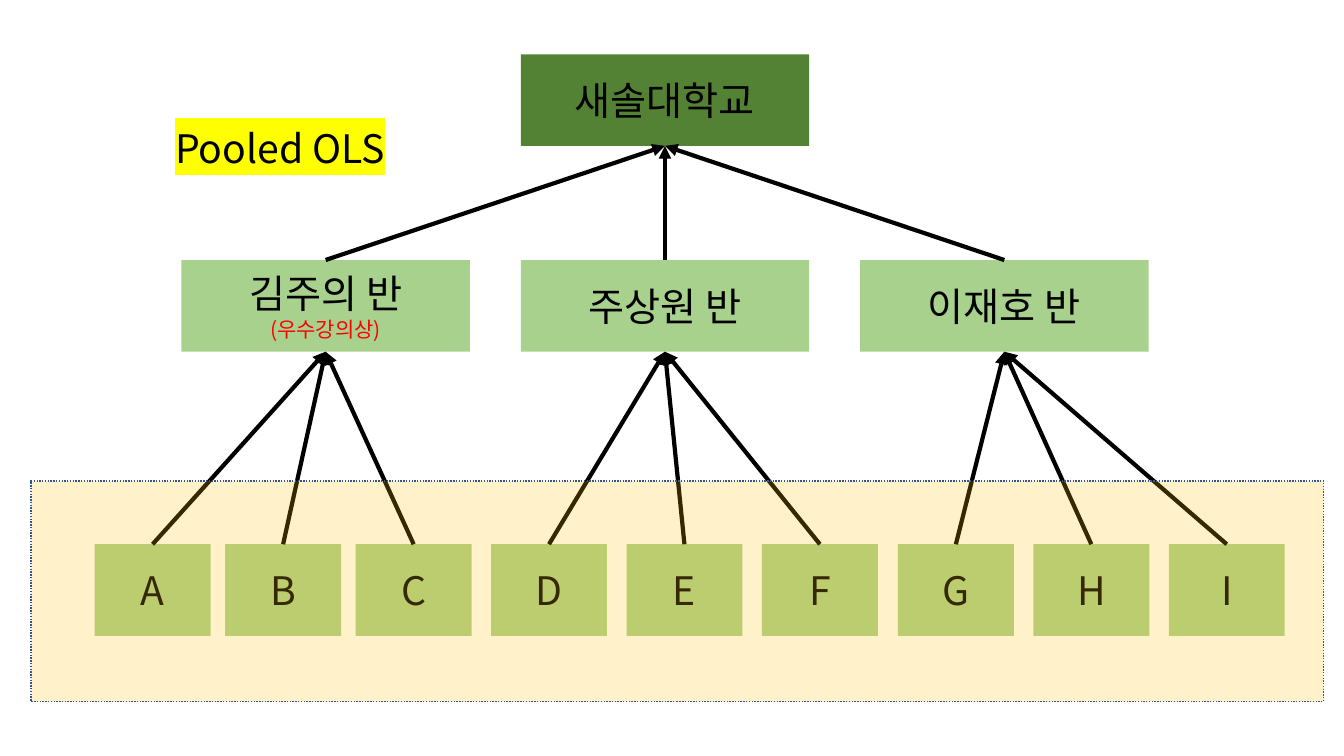
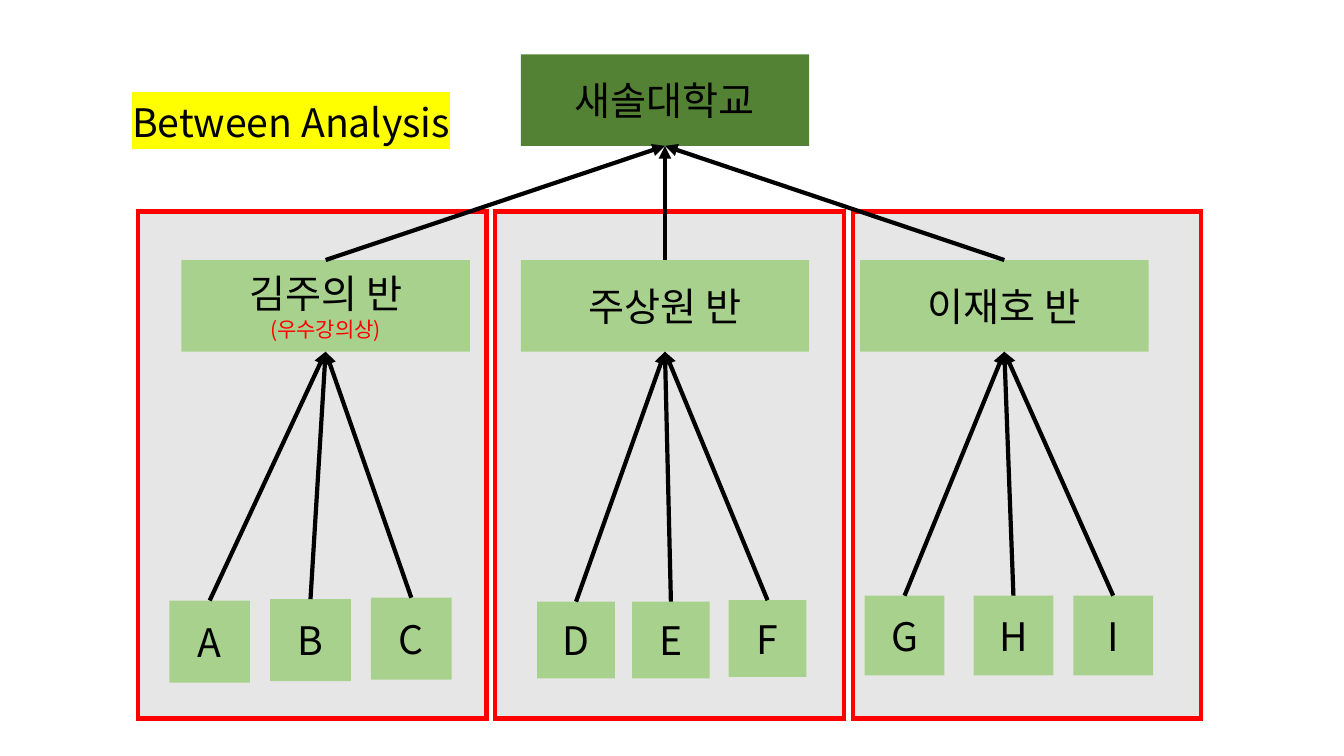
from dataclasses import dataclass

from lxml import etree
from pptx import Presentation
from pptx.dml.color import RGBColor
from pptx.enum import dml, shapes, text
from pptx.oxml.ns import qn
from pptx.util import Pt

FONT = "Noto Sans CJK KR"
COLORS = {
    "ink": "000000",
    "school": "548235",
    "node": "A9D18E",
    "award": "FF0000",
    "highlight": "FFFF00",
    "pool": "FFC000",
    "pool_edge": "325491",
    "panel": "D0CECE",
    "panel_edge": "FF0000",
}
TEXT_SIZE, NOTE_SIZE = 28, 15
NODE_W, NODE_H = 206, 65.5
CLASS_PITCH = 242.4
CLASS_DROP = 147
TREE_LEFT, TREE_TOP = 129.6, 38.75
SCHOOL = "새솔대학교"
CLASSES = [("김주의 반", "(우수강의상)"), ("주상원 반", None), ("이재호 반", None)]
STUDENTS = ["ABC", "DEF", "GHI"]


@dataclass
class Leaves:
    """Size of the student boxes of a class, and their offsets from its box."""
    width: float
    height: float
    spots: list


def even_leaves(start, step):
    return Leaves(82.8, NODE_H, [(start + i * step, 203) for i in range(3)])


POOLED_LEAVES = [even_leaves(-62, 93.25), even_leaves(-21.25, 96.75),
                 even_leaves(27, 96.75)]
BETWEEN_LEAVES = [
    Leaves(57.6, 58.6, [(-8.6, 243.2), (63.4, 242.2), (135.4, 241.2)]),
    Leaves(55.5, 54.75, [(11.75, 244), (79.5, 244), (148.5, 243)]),
    Leaves(57, 57, [(3.25, 239.75), (81, 239.75), (152.25, 239.75)]),
]


def color(name):
    return RGBColor.from_string(COLORS[name])


def style_paragraph(para, align):
    para.alignment = align
    para.font.size = Pt(TEXT_SIZE)
    para.font.name = FONT
    para.font.color.rgb = color("ink")
    defaults = para._p.pPr.find(qn("a:defRPr"))
    etree.SubElement(defaults, qn("a:ea")).set("typeface", FONT)


def add_box(page, left, top, width, height, fill, opacity=None):
    box = page.shapes.add_shape(shapes.MSO_SHAPE.RECTANGLE,
                                Pt(left), Pt(top), Pt(width), Pt(height))
    box.shadow.inherit = False
    box.fill.solid()
    box.fill.fore_color.rgb = color(fill)
    box.line.fill.background()
    if opacity is not None:
        tone = box._element.spPr.find(qn("a:solidFill")).find(qn("a:srgbClr"))
        etree.SubElement(tone, qn("a:alpha")).set("val", str(opacity * 1000))
    return box


def outline(box, edge, width, dash=dml.MSO_LINE.SOLID):
    """Give a box a line with square corners."""
    box.line.color.rgb = color(edge)
    box.line.width = Pt(width)
    box.line.dash_style = dash
    line = box._element.spPr.find(qn("a:ln"))
    etree.SubElement(line, qn("a:miter")).set("lim", "800000")


def add_node(page, left, top, width, height, label, fill="node", note=None):
    box = add_box(page, left, top, width, height, fill)
    box.text_frame.vertical_anchor = text.MSO_ANCHOR.MIDDLE
    para = box.text_frame.paragraphs[0]
    style_paragraph(para, text.PP_ALIGN.CENTER)
    para.add_run().text = label
    if note:
        para.add_line_break()
        span = para.add_run()
        span.text = note
        span.font.size = Pt(NOTE_SIZE)
        span.font.color.rgb = color("award")
    return box


def link(page, parent, child):
    """Join two nodes with an arrow that points up at the parent."""
    arrow = page.shapes.add_connector(shapes.MSO_CONNECTOR.STRAIGHT, 0, 0, 0, 0)
    arrow.begin_connect(parent, 2)
    arrow.end_connect(child, 0)
    arrow.line.color.rgb = color("ink")
    arrow.line.width = Pt(3)
    props = arrow._element.spPr
    etree.SubElement(props.find(qn("a:ln")), qn("a:headEnd")).set("type", "triangle")
    etree.SubElement(props, qn("a:effectLst"))


def draw_class(page, left, top, school, heading, students, leaves):
    name, note = heading
    box = add_node(page, left, top, NODE_W, NODE_H, name, note=note)
    link(page, school, box)
    for student, (dx, dy) in zip(students, leaves.spots):
        leaf = add_node(page, left + dx, top + dy, leaves.width, leaves.height, student)
        link(page, box, leaf)


def draw_tree(page, left, top, leaf_groups):
    school = add_node(page, left + CLASS_PITCH, top, NODE_W, NODE_H, SCHOOL, "school")
    for i, (heading, students, leaves) in enumerate(zip(CLASSES, STUDENTS, leaf_groups)):
        draw_class(page, left + i * CLASS_PITCH, top + CLASS_DROP,
                   school, heading, students, leaves)


def draw_panels(page, left, top, width, height, pitch):
    for i in range(len(CLASSES)):
        panel = add_box(page, left + i * pitch, top, width, height, "panel", 50)
        outline(panel, "panel_edge", 3)


def add_page(deck, title, left, top, width):
    page = deck.slides.add_slide(deck.slide_layouts[5])
    box = page.shapes.title
    box.left, box.top, box.width, box.height = Pt(left), Pt(top), Pt(width), Pt(41)
    frame = box.text_frame
    frame.word_wrap = True
    frame.auto_size = text.MSO_AUTO_SIZE.NONE
    frame.vertical_anchor = text.MSO_ANCHOR.TOP
    para = frame.paragraphs[0]
    style_paragraph(para, text.PP_ALIGN.LEFT)
    span = para.add_run()
    span.text = title
    mark = etree.SubElement(span._r.get_or_add_rPr(), qn("a:highlight"))
    etree.SubElement(mark, qn("a:srgbClr")).set("val", COLORS["highlight"])
    return page


def pooled_page(deck):
    page = add_page(deck, "Pooled OLS", 118, 85.5, 178)
    draw_tree(page, TREE_LEFT, TREE_TOP, POOLED_LEAVES)
    pool = add_box(page, 22.25, 343.5, 923, 157.75, "pool", 21)
    outline(pool, "pool_edge", 1, dml.MSO_LINE.ROUND_DOT)


def between_page(deck):
    page = add_page(deck, "Between Analysis", 87.25, 66.5, 271.5)
    draw_panels(page, 98.6, 151, 249, 362.25, 255.25)
    draw_tree(page, TREE_LEFT, TREE_TOP, BETWEEN_LEAVES)


def main():
    deck = Presentation()
    deck.slide_width, deck.slide_height = Pt(960), Pt(540)
    pooled_page(deck)
    between_page(deck)
    deck.save("out.pptx")


if __name__ == "__main__":
    main()
